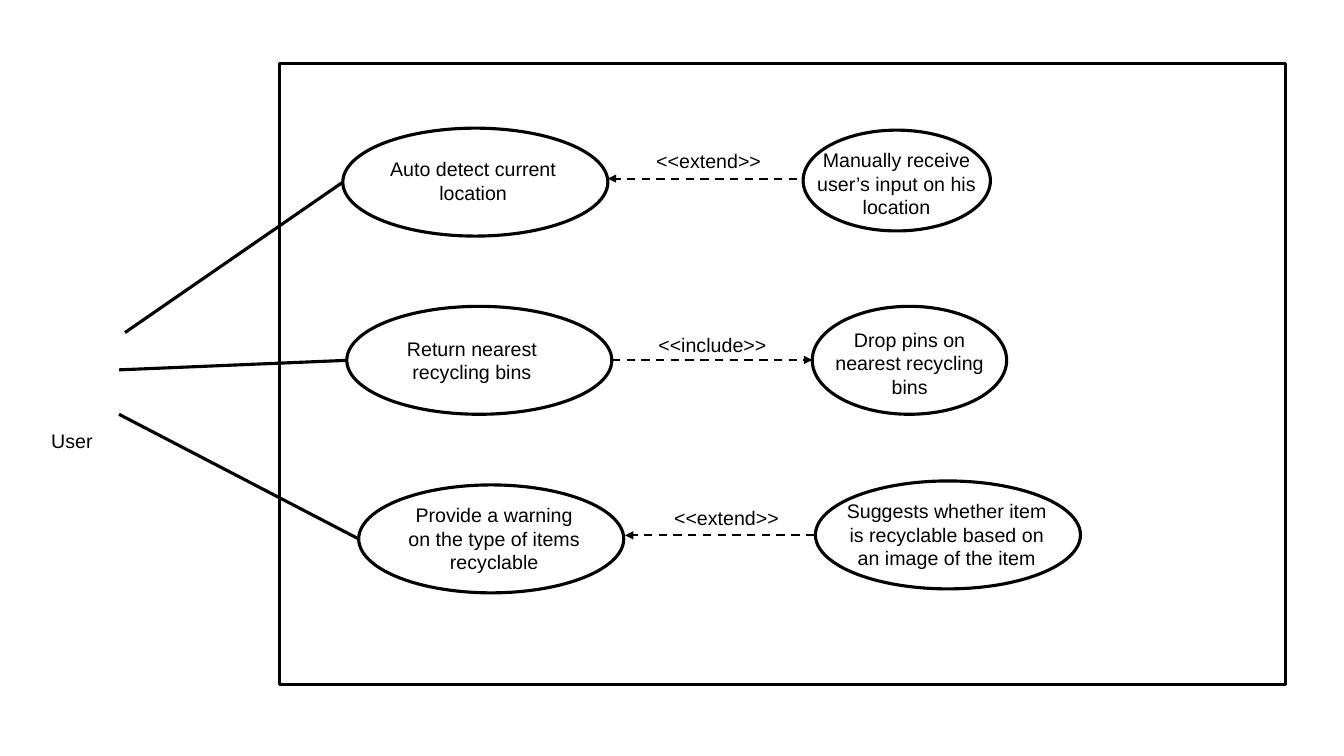
from dataclasses import dataclass

from lxml.etree import SubElement
from pptx import Presentation
from pptx.dml.color import RGBColor
from pptx.enum.dml import MSO_LINE
from pptx.enum.shapes import MSO_CONNECTOR, MSO_SHAPE
from pptx.enum.text import MSO_AUTO_SIZE, PP_ALIGN
from pptx.oxml.ns import qn
from pptx.shapes.autoshape import Shape
from pptx.shapes.connector import Connector
from pptx.slide import Slide
from pptx.util import Cm, Pt


@dataclass(frozen=True)
class Theme:
    ink: RGBColor = RGBColor(0, 0, 0)
    paper: RGBColor = RGBColor(255, 255, 255)
    font: str = "Arial"
    text_size: float = 14
    outline: float = 2.25
    dashed: float = 1.5


@dataclass(frozen=True)
class Box:
    """A rectangle measured in centimetres."""
    left: float
    top: float
    width: float
    height: float

    @property
    def right(self) -> float:
        return self.left + self.width

    @property
    def middle(self) -> float:
        return self.top + self.height / 2


@dataclass(frozen=True)
class UseCase:
    words: str
    oval: Box
    caption: Box
    filled: bool = False


@dataclass(frozen=True)
class Relation:
    """A dashed arrow between a main use case and its dependent one."""
    stereotype: str
    main_x: float
    dependent_x: float
    y: float
    label: Box
    points_to_main: bool


@dataclass(frozen=True)
class Point:
    x: float
    y: float


THEME = Theme()
SYSTEM_BOUNDARY = Box(7.04, 1.6, 25.35, 15.65)
USER_LABEL = Box(0.76, 10.69, 2.11, 0.86)
USER_ENDS = [Point(3.15, 8.38), Point(3, 9.32), Point(3, 10.44)]

MAIN_CASES = [
    UseCase("Auto detect current location",
            Box(8.64, 3.23, 6.68, 2.72), Box(9.4, 3.84, 5.05, 1.45)),
    UseCase("Return nearest recycling bins",
            Box(8.74, 7.72, 6.68, 2.72), Box(9.37, 8.36, 5.05, 1.45)),
    UseCase("Provide a warning on the type of items recyclable",
            Box(9.04, 12.22, 6.68, 2.72), Box(9.93, 12.55, 5.05, 2.06)),
]
DEPENDENT_CASES = [
    UseCase("Manually receive user’s input on his location",
            Box(20.24, 3.28, 4.72, 2.54), Box(20.07, 3.61, 5.05, 2.06), filled=True),
    UseCase("Drop pins on nearest recycling bins",
            Box(20.47, 7.72, 4.9, 2.72), Box(20.4, 8.13, 5.05, 2.06)),
    UseCase("Suggests whether item is recyclable based on an image of the item",
            Box(20.55, 12.12, 6.68, 2.72), Box(21.08, 12.45, 5.56, 2.06)),
]
RELATIONS = [
    Relation("<<extend>>", 15.32, 20.09, 4.5, Box(16.26, 3.63, 3.2, 0.86), True),
    Relation("<<include>>", 15.42, 20.47, 9.07, Box(16.28, 8.26, 3.35, 0.86), False),
    Relation("<<extend>>", 15.75, 20.52, 13.49, Box(16.71, 12.62, 3.2, 0.86), True),
]


def add_outline(slide: Slide, kind: MSO_SHAPE, box: Box) -> Shape:
    outline = slide.shapes.add_shape(
        kind, Cm(box.left), Cm(box.top), Cm(box.width), Cm(box.height))
    outline.shadow.inherit = False
    outline.fill.background()
    outline.line.color.rgb = THEME.ink
    outline.line.width = Pt(THEME.outline)
    return outline


def add_caption(slide: Slide, words: str, box: Box) -> None:
    caption = slide.shapes.add_textbox(
        Cm(box.left), Cm(box.top), Cm(box.width), Cm(box.height))
    frame = caption.text_frame
    frame.word_wrap = True
    frame.auto_size = MSO_AUTO_SIZE.SHAPE_TO_FIT_TEXT
    frame.text = words
    paragraph = frame.paragraphs[0]
    paragraph.alignment = PP_ALIGN.CENTER
    font = paragraph.runs[0].font
    font.name = THEME.font
    font.size = Pt(THEME.text_size)
    font.color.rgb = THEME.ink


def add_line(slide: Slide, start: Point, end: Point, width: float) -> Connector:
    line = slide.shapes.add_connector(
        MSO_CONNECTOR.STRAIGHT, Cm(start.x), Cm(start.y), Cm(end.x), Cm(end.y))
    line.line.color.rgb = THEME.ink
    line.line.width = Pt(width)
    SubElement(line._element.spPr, qn("a:effectLst"))
    return line


def add_use_case(slide: Slide, case: UseCase) -> None:
    oval = add_outline(slide, MSO_SHAPE.OVAL, case.oval)
    if case.filled:
        oval.fill.solid()
        oval.fill.fore_color.rgb = THEME.paper
    add_caption(slide, case.words, case.caption)


def add_relation(slide: Slide, relation: Relation) -> None:
    main = Point(relation.main_x, relation.y)
    dependent = Point(relation.dependent_x, relation.y)
    start, end = (dependent, main) if relation.points_to_main else (main, dependent)
    arrow = add_line(slide, start, end, THEME.dashed)
    arrow.line.dash_style = MSO_LINE.DASH
    SubElement(arrow.line._get_or_add_ln(), qn("a:tailEnd"), type="triangle")
    add_caption(slide, relation.stereotype, relation.label)


def main() -> None:
    deck = Presentation()
    deck.slide_width = Cm(33.87)
    deck.slide_height = Cm(19.05)
    slide = deck.slides.add_slide(deck.slide_layouts[6])

    add_outline(slide, MSO_SHAPE.RECTANGLE, SYSTEM_BOUNDARY)
    add_caption(slide, "User", USER_LABEL)
    for user_end, case in zip(USER_ENDS, MAIN_CASES):
        add_line(slide, user_end, Point(case.oval.left, case.oval.middle), THEME.outline)
    for case in MAIN_CASES + DEPENDENT_CASES:
        add_use_case(slide, case)
    for relation in RELATIONS:
        add_relation(slide, relation)

    deck.save("out.pptx")


if __name__ == "__main__":
    main()
